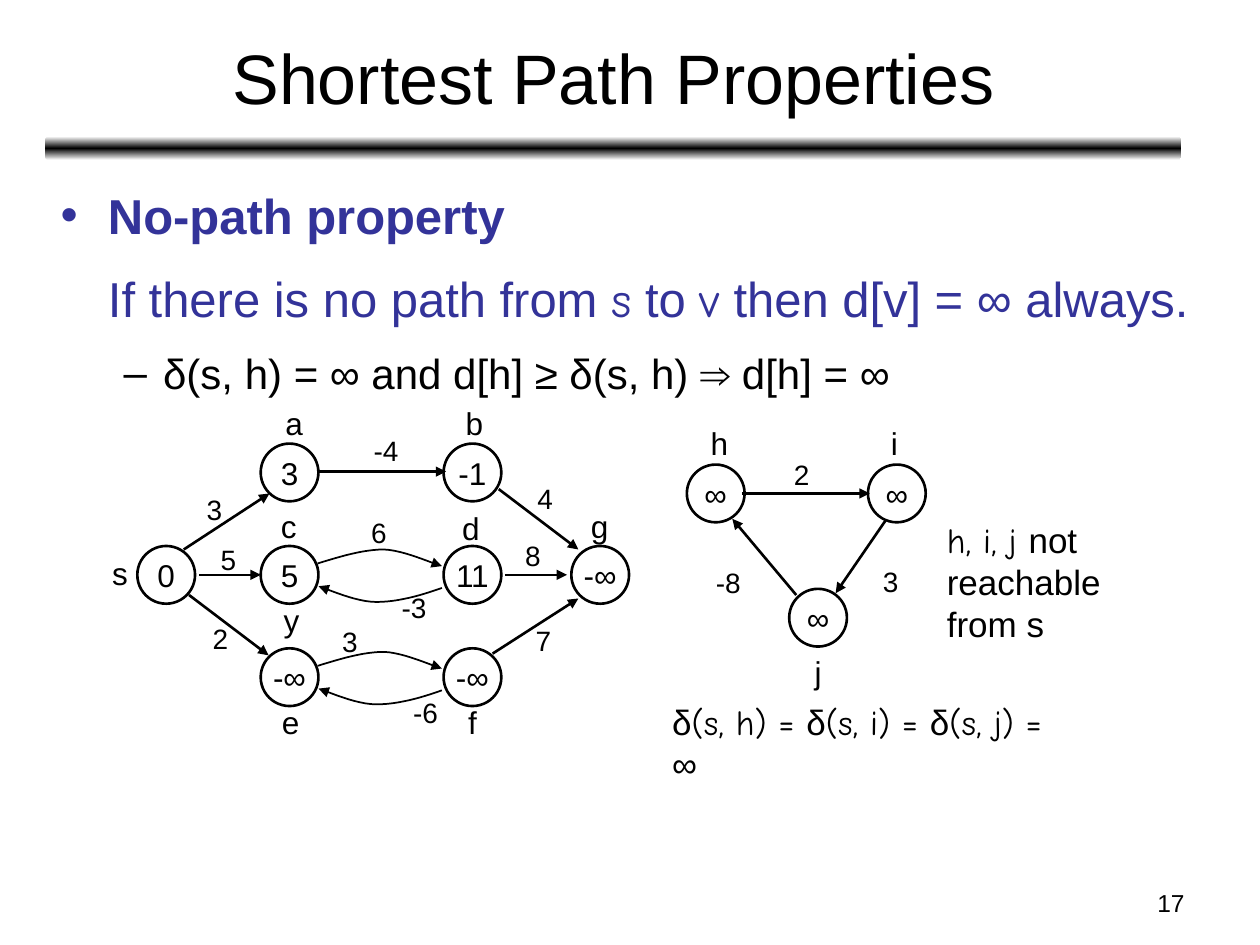
from copy import deepcopy

from lxml import etree
from pptx import Presentation
from pptx.dml.color import RGBColor
from pptx.enum.shapes import MSO_CONNECTOR, MSO_SHAPE
from pptx.enum.text import MSO_ANCHOR, MSO_AUTO_SIZE, PP_ALIGN
from pptx.oxml.ns import qn
from pptx.util import Pt

LEFT, MID, RIGHT = PP_ALIGN.LEFT, PP_ALIGN.CENTER, PP_ALIGN.RIGHT
SANS, HAND = "Arial", "Comic Neue"
HUES = {"ink": "000000", "blue": "333399", "paper": "FFFFFF"}

# Content: a paragraph is a list of (text, font) runs
TITLE = "Shortest Path Properties"
BODY = [
    dict(runs=[("No-path property", SANS)], size=28, hue="blue", bold=True,
         level=0, left=27, hang=-27, gap=7),
    dict(runs=[("If there is no path from ", SANS), ("s", HAND), (" to ", SANS),
               ("v", HAND), (" then d[v] = ∞ always.", SANS)],
         size=28, hue="blue", bold=False, level=0, left=27, hang=0, gap=7),
    dict(runs=[("δ(s, h) = ∞ and d[h] ≥ δ(s, h) ⇒ d[h] = ∞", SANS)],
         size=24, hue="ink", bold=False, level=1, left=58.5, hang=-22.5, gap=6),
]
NOTE = [[("h, i, j ", HAND), ("not", SANS)], [("reachable", SANS)], [("from s", SANS)]]
SUM = [[("δ", SANS), ("(s, h) = ", HAND), ("δ", SANS), ("(s, i) = ", HAND),
        ("δ", SANS), ("(s, j) = ", HAND), ("∞", SANS)]]

# Graph nodes: value and centre
SIZE = 33
COLS, ROWS = (95, 165.5, 270, 343), (270, 328.5, 387)
NODES = [
    ("0", COLS[0], ROWS[1]), ("-∞", COLS[3], ROWS[1]),
    ("3", COLS[1], ROWS[0]), ("-1", COLS[2], ROWS[0]),
    ("5", COLS[1], ROWS[1]), ("11", COLS[2], ROWS[1]),
    ("-∞", COLS[1], ROWS[2]), ("-∞", COLS[2], ROWS[2]),
    ("∞", 409, 282), ("∞", 512.5, 282), ("∞", 467.5, 353),
]
# Straight edges: start and end
EDGES = [
    (182, 269.5, 255, 269.5), (105, 314, 154, 282), (108, 340, 153.5, 374.5),
    (285, 279.5, 330.5, 314), (281.5, 373.5, 330.5, 342),
    (114, 328.5, 149, 328.5), (288.5, 328.5, 324, 328.5),
    (424, 282, 497, 282), (506, 297.5, 477.5, 339), (455, 340, 418.5, 296.5),
]
# Curved edges: two Bezier pieces each, drawn on the two lower rows
ARCS = [
    [(181.5, 322), (194.5, 318), (207.5, 314), (219.5, 314),
     (231, 314.5), (247, 322), (252.5, 323.5)],
    [(252.5, 336), (240, 340.5), (227, 344), (215, 344),
     (203, 344), (187, 336.5), (182, 335)],
]
# Labels by text size: text, left, top
TAGS = {
    18: [("s", 57, 313), ("a", 156, 227.5), ("b", 259, 227.5), ("c", 153.5, 286),
         ("d", 257, 287.5), ("g", 330.5, 286), ("y", 155, 340), ("e", 154, 398),
         ("f", 260.5, 398), ("h", 399, 239), ("i", 502, 239), ("j", 458.5, 369.5)],
    16: [("3", 111, 278), ("-4", 206.5, 244), ("2", 114.5, 351.5), ("8", 293, 304),
         ("-6", 229, 394), ("-3", 222.5, 334), ("3", 188.5, 353.5), ("5", 119, 306.5),
         ("6", 205, 291), ("4", 300, 271.5), ("7", 299, 353), ("2", 446.5, 258),
         ("3", 497.5, 319), ("-8", 402, 319.5)],
}
EMS = {"-": 0.33, "i": 0.22, "j": 0.22, "f": 0.28, "s": 0.5, "y": 0.5, "c": 0.5}


def color(name):
    return RGBColor.from_string(HUES[name])


def write(par, runs, size=18, hue="ink", bold=False, align=LEFT):
    """Fill a paragraph; runs is a string or a list of (text, font)."""
    par.alignment = align
    for text, face in [(runs, SANS)] if isinstance(runs, str) else runs:
        run = par.add_run()
        run.text = text
        font = run.font
        font.name, font.size, font.bold = face, Pt(size), bold
        font.color.rgb = color(hue)


def box(x, y, w, h, pars, wrap=False, **form):
    frame = slide.shapes.add_textbox(Pt(x), Pt(y), Pt(w), Pt(h)).text_frame
    frame.word_wrap = wrap
    for i, runs in enumerate(pars):
        write(frame.add_paragraph() if i else frame.paragraphs[0], runs, **form)


def place(shape, x, y, w, h):
    shape.left, shape.top, shape.width, shape.height = Pt(x), Pt(y), Pt(w), Pt(h)
    shape.text_frame.auto_size = MSO_AUTO_SIZE.NONE
    return shape.text_frame


def stroke(shape, width, arrow=True):
    shape.line.color.rgb = color("ink")
    shape.line.width = Pt(width)
    if arrow:
        line = shape.line._get_or_add_ln()
        etree.SubElement(line, qn("a:tailEnd"), type="triangle")


def bend(pts, steps=12):
    """Points along a chain of cubic Bezier pieces."""
    out = [pts[0]]
    for k in range(0, len(pts) - 1, 3):
        for n in range(1, steps + 1):
            t = n / steps
            u = 1 - t
            mix = (u ** 3, 3 * u * u * t, 3 * u * t * t, t ** 3)
            out.append(tuple(sum(m * p[a] for m, p in zip(mix, pts[k:k + 4]))
                             for a in (0, 1)))
    return out


deck = Presentation()
deck.slide_width, deck.slide_height = Pt(720), Pt(540)
slide = deck.slides.add_slide(deck.slide_layouts[1])

# Title and rule below it
head = place(slide.shapes.title, 26.5, 8, 648, 71)
head.vertical_anchor = MSO_ANCHOR.MIDDLE
write(head.paragraphs[0], TITLE, size=40, align=MID)

bar = slide.shapes.add_shape(MSO_SHAPE.ROUNDED_RECTANGLE, Pt(26), Pt(78), Pt(649), Pt(13.5))
bar.shadow.inherit = False
bar.line.fill.background()
bar.fill.gradient()
bar.fill.gradient_angle = 90
stops = bar._element.spPr.find(".//" + qn("a:gsLst"))
stops.insert(1, deepcopy(stops[0]))
for stop, spot, name in zip(bar.fill.gradient_stops, (0, 0.5, 1), ("paper", "ink", "paper")):
    stop.position = spot
    stop.color.rgb = color(name)

# Body list
body = place(slide.placeholders[1], 27.5, 95.5, 672, 399.5)
for i, item in enumerate(BODY):
    par = body.add_paragraph() if i else body.paragraphs[0]
    par.level, par.line_spacing, par.space_before = item["level"], 1.2, Pt(item["gap"])
    write(par, item["runs"], item["size"], item["hue"], item["bold"])
    props = par._p.get_or_add_pPr()
    props.set("marL", str(Pt(item["left"])))
    props.set("indent", str(Pt(item["hang"])))
    if not item["hang"]:
        etree.SubElement(props, qn("a:buNone"))

# Nodes
for text, x, y in NODES:
    node = slide.shapes.add_shape(MSO_SHAPE.OVAL, Pt(x - SIZE / 2), Pt(y - SIZE / 2),
                                  Pt(SIZE), Pt(SIZE))
    node.shadow.inherit = False
    node.fill.background()
    stroke(node, 1.5, arrow=False)
    node.text_frame.word_wrap = False
    node.text_frame.vertical_anchor = MSO_ANCHOR.MIDDLE
    write(node.text_frame.paragraphs[0], text, align=MID)

# Edges
for ends in EDGES:
    edge = slide.shapes.add_connector(MSO_CONNECTOR.STRAIGHT, *map(Pt, ends))
    stroke(edge, 1.5)
    etree.SubElement(edge._element.spPr, qn("a:effectLst"))

for drop in (0, ROWS[2] - ROWS[1]):
    for arc in ARCS:
        pts = [(Pt(x), Pt(y + drop)) for x, y in bend(arc)]
        path = slide.shapes.build_freeform(*pts[0])
        path.add_line_segments(pts[1:], close=False)
        curve = path.convert_to_shape()
        curve.shadow.inherit = False
        curve.fill.background()
        stroke(curve, 1)

# Labels, each box as wide as its text
for size, tags in TAGS.items():
    for text, x, y in tags:
        wide = 14.4 + size * sum(EMS.get(c, 0.556) for c in text)
        box(x, y, wide, size * 1.2 + 7.2, [text], size=size)

# Remarks and page number
box(377, 396.5, 243, 31.5, SUM, wrap=True, size=20)
box(534, 292.5, 116, 79, NOTE, wrap=True, size=20)
box(516, 504, 168, 25, ["17"], wrap=True, size=14, align=RIGHT)

deck.save("out.pptx")
